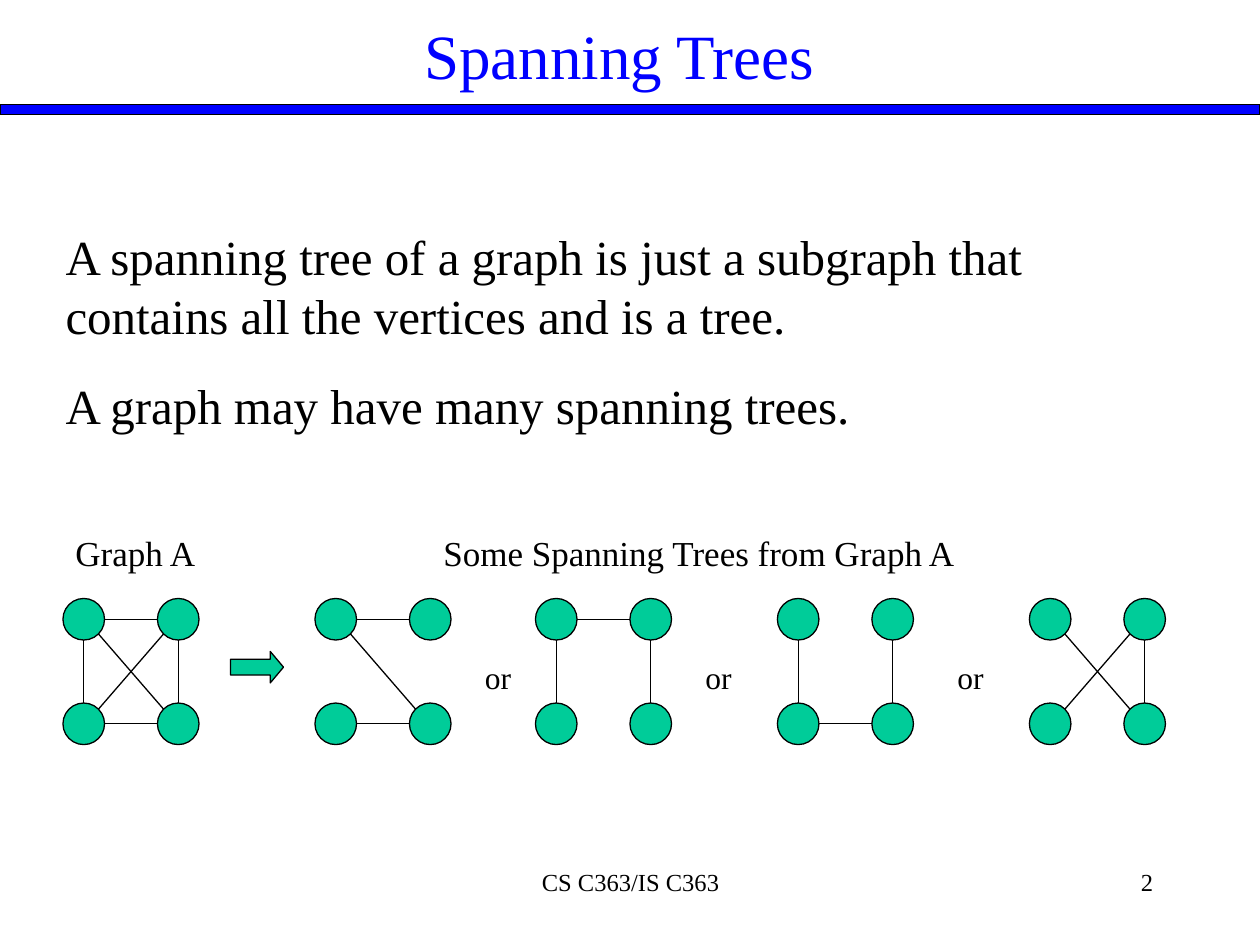
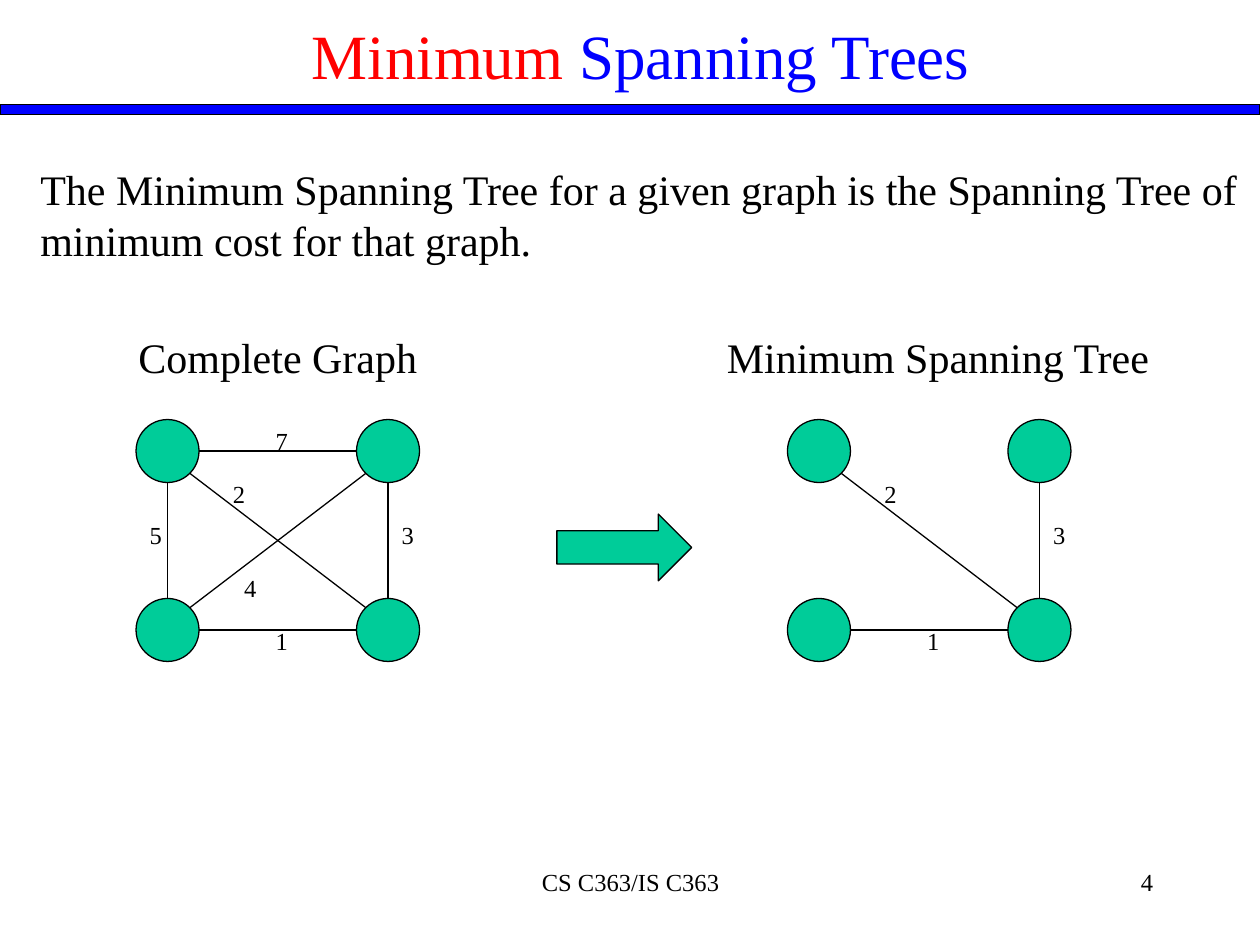
from dataclasses import dataclass, field
from math import hypot

from lxml.etree import SubElement
from pptx import Presentation
from pptx.dml.color import RGBColor
from pptx.enum.shapes import MSO_CONNECTOR, MSO_SHAPE
from pptx.enum.text import MSO_ANCHOR, MSO_AUTO_SIZE, PP_ALIGN
from pptx.oxml.ns import qn
from pptx.shapes.base import BaseShape
from pptx.slide import Slide
from pptx.text.text import TextFrame, _Run as Run
from pptx.util import Inches, Pt


@dataclass(frozen=True)
class Theme:
    font: str = "Times New Roman"
    ink: RGBColor = RGBColor(0, 0, 0)
    blue: RGBColor = RGBColor(0, 0, 255)
    red: RGBColor = RGBColor(255, 0, 0)
    green: RGBColor = RGBColor(0, 204, 153)
    outline: float = 0.75
    title: int = 36
    definition: int = 28
    heading: int = 24
    caption: int = 20
    joiner: int = 18
    small: int = 14


THEME = Theme()


@dataclass(frozen=True)
class Box:
    left: float
    top: float
    width: float
    height: float

    def emu(self) -> tuple[int, int, int, int]:
        return Inches(self.left), Inches(self.top), Inches(self.width), Inches(self.height)


@dataclass(frozen=True)
class GraphSize:
    top: float
    across: float
    down: float
    node: float


Edge = tuple[str, str]


@dataclass(frozen=True)
class Graph:
    left: float
    edges: tuple[Edge, ...]
    weights: dict[Edge, str] = field(default_factory=dict)


@dataclass(frozen=True)
class Label:
    text: str
    box: Box
    size: int
    align: PP_ALIGN = PP_ALIGN.LEFT
    wrap: bool = True


CORNERS = {"A": (0, 0), "B": (1, 0), "C": (0, 1), "D": (1, 1)}
TOP, LEFT, BOTTOM, RIGHT = ("A", "B"), ("A", "C"), ("C", "D"), ("B", "D")
RISING, FALLING = ("B", "C"), ("A", "D")
COMPLETE = (TOP, LEFT, BOTTOM, RIGHT, RISING, FALLING)

WEIGHT_OFFSETS = {
    TOP: (1.01, 0),
    LEFT: (0.01, 0.75),
    BOTTOM: (1.01, 1.59),
    RIGHT: (2.01, 0.75),
    RISING: (0.76, 1.17),
    FALLING: (0.67, 0.42),
}
COSTS = {TOP: "7", LEFT: "5", BOTTOM: "1", RIGHT: "3", RISING: "4", FALLING: "2"}
MINIMUM = (BOTTOM, RIGHT, FALLING)

SMALL_GRAPH = GraphSize(top=4.75, across=0.75, down=0.83, node=0.33)
LARGE_GRAPH = GraphSize(top=3.33, across=1.75, down=1.42, node=0.5)


def style_run(run: Run, size: int, color: RGBColor) -> None:
    run.font.name = THEME.font
    run.font.size = Pt(size)
    run.font.color.rgb = color


def set_frame(frame: TextFrame, wrap: bool) -> None:
    frame.word_wrap = wrap
    frame.auto_size = MSO_AUTO_SIZE.NONE
    frame.vertical_anchor = MSO_ANCHOR.TOP


def place(shape: BaseShape, box: Box) -> None:
    shape.left, shape.top, shape.width, shape.height = box.emu()


def add_label(slide: Slide, label: Label) -> None:
    frame = slide.shapes.add_textbox(*label.box.emu()).text_frame
    set_frame(frame, label.wrap)
    frame.text = label.text
    paragraph = frame.paragraphs[0]
    paragraph.alignment = label.align
    style_run(paragraph.runs[0], label.size, THEME.ink)


def add_block(slide: Slide, preset: MSO_SHAPE, box: Box, fill: RGBColor) -> BaseShape:
    block = slide.shapes.add_shape(preset, *box.emu())
    block.shadow.inherit = False
    block.fill.solid()
    block.fill.fore_color.rgb = fill
    block.line.color.rgb = THEME.ink
    block.line.width = Pt(THEME.outline)
    return block


def add_arrow(slide: Slide, box: Box, head: float) -> None:
    arrow = add_block(slide, MSO_SHAPE.RIGHT_ARROW, box, THEME.green)
    arrow.adjustments[1] = head


def add_edge(slide: Slide, start: tuple[float, float], end: tuple[float, float]) -> None:
    ends = [Inches(value) for value in (*start, *end)]
    edge = slide.shapes.add_connector(MSO_CONNECTOR.STRAIGHT, *ends)
    edge.line.color.rgb = THEME.ink
    edge.line.width = Pt(THEME.outline)
    SubElement(edge._element.spPr, qn("a:effectLst"))


def add_graph(slide: Slide, graph: Graph, size: GraphSize) -> None:
    radius = size.node / 2
    for column, row in CORNERS.values():
        node = Box(graph.left + column * size.across, size.top + row * size.down, size.node, size.node)
        add_block(slide, MSO_SHAPE.OVAL, node, THEME.green)
    for edge in graph.edges:
        (c1, r1), (c2, r2) = (CORNERS[vertex] for vertex in edge)
        reach = radius / hypot(c2 - c1, r2 - r1)
        dx, dy = (c2 - c1) * reach, (r2 - r1) * reach
        x, y = graph.left + radius, size.top + radius
        start = x + c1 * size.across + dx, y + r1 * size.down + dy
        end = x + c2 * size.across - dx, y + r2 * size.down - dy
        add_edge(slide, start, end)
    for edge, cost in graph.weights.items():
        dx, dy = WEIGHT_OFFSETS[edge]
        box = Box(graph.left + dx, size.top + dy, 0.3, 0.34)
        add_label(slide, Label(cost, box, THEME.small, wrap=False))


def set_title(slide: Slide, box: Box, parts: list[tuple[str, RGBColor]]) -> None:
    title = slide.shapes.title
    place(title, box)
    set_frame(title.text_frame, True)
    paragraph = title.text_frame.paragraphs[0]
    paragraph.alignment = PP_ALIGN.CENTER
    for text, color in parts:
        run = paragraph.add_run()
        run.text = text
        style_run(run, THEME.title, color)


def set_body(slide: Slide, box: Box, lines: list[str], size: int, gap: float = 0) -> None:
    body = slide.placeholders[1]
    place(body, box)
    set_frame(body.text_frame, True)
    body.text_frame.text = "\n".join(lines)
    for index, paragraph in enumerate(body.text_frame.paragraphs):
        properties = paragraph._p.get_or_add_pPr()
        properties.set("marL", "0")
        properties.set("indent", "0")
        SubElement(properties, qn("a:buNone"))
        paragraph.space_before = Pt(gap if index else 0)
        style_run(paragraph.runs[0], size, THEME.ink)


def start_slide(deck: Presentation, number: str) -> Slide:
    slide = deck.slides.add_slide(deck.slide_layouts[1])
    add_block(slide, MSO_SHAPE.RECTANGLE, Box(0, 0.83, 10, 0.08), THEME.blue)
    footer_box, number_box = Box(3.42, 6.83, 3.17, 0.5), Box(7.17, 6.83, 2.08, 0.5)
    add_label(slide, Label("CS C363/IS C363", footer_box, THEME.small, PP_ALIGN.CENTER))
    add_label(slide, Label(number, number_box, THEME.small, PP_ALIGN.RIGHT))
    return slide


def build_spanning_trees(deck: Presentation) -> None:
    slide = start_slide(deck, "2")
    set_title(slide, Box(3.25, 0.08, 3.33, 0.7), [("Spanning Trees", THEME.blue)])
    definitions = [
        "A spanning tree of a graph is just a subgraph that contains all the vertices and is a tree.",
        "A graph may have many spanning trees.",
    ]
    set_body(slide, Box(0.42, 1.75, 9.17, 1.75), definitions, THEME.definition, gap=17.5)
    graphs = (
        Graph(0.5, COMPLETE),
        Graph(2.5, (TOP, BOTTOM, FALLING)),
        Graph(4.25, (TOP, LEFT, RIGHT)),
        Graph(6.17, (LEFT, BOTTOM, RIGHT)),
        Graph(8.17, (RIGHT, RISING, FALLING)),
    )
    for graph in graphs:
        add_graph(slide, graph, SMALL_GRAPH)
    add_arrow(slide, Box(1.83, 5.17, 0.42, 0.25), 0.42)
    for left in (3.75, 5.5, 7.5):
        add_label(slide, Label("or", Box(left, 5.17, 0.42, 0.4), THEME.joiner))
    add_label(slide, Label("Graph A", Box(0.5, 4.17, 1.17, 0.44), THEME.caption))
    trees_box = Box(3.42, 4.17, 5.17, 0.44)
    add_label(slide, Label("Some Spanning Trees from Graph A", trees_box, THEME.caption))


def build_minimum_trees(deck: Presentation) -> None:
    slide = start_slide(deck, "4")
    title_parts = [("Minimum", THEME.red), (" Spanning Trees", THEME.blue)]
    set_title(slide, Box(2.17, 0.08, 5.83, 0.7), title_parts)
    definition = (
        "The Minimum Spanning Tree for a given graph is the Spanning Tree of "
        "minimum cost for that graph."
    )
    set_body(slide, Box(0.22, 1.25, 9.78, 0.9), [definition], THEME.heading)
    minimum_costs = {edge: COSTS[edge] for edge in MINIMUM}
    add_graph(slide, Graph(1.08, COMPLETE, COSTS), LARGE_GRAPH)
    add_graph(slide, Graph(6.25, MINIMUM, minimum_costs), LARGE_GRAPH)
    add_arrow(slide, Box(4.42, 4.08, 1.07, 0.53), 0.5)
    headings = (
        ("Complete Graph", Box(1, 2.58, 2.41, 0.5)),
        ("Minimum Spanning Tree", Box(5.67, 2.58, 3.57, 0.5)),
    )
    for text, box in headings:
        add_label(slide, Label(text, box, THEME.heading, wrap=False))


def main() -> None:
    deck = Presentation()
    deck.slide_width, deck.slide_height = Inches(10), Inches(7.5)
    build_spanning_trees(deck)
    build_minimum_trees(deck)
    deck.save("out.pptx")


if __name__ == "__main__":
    main()
